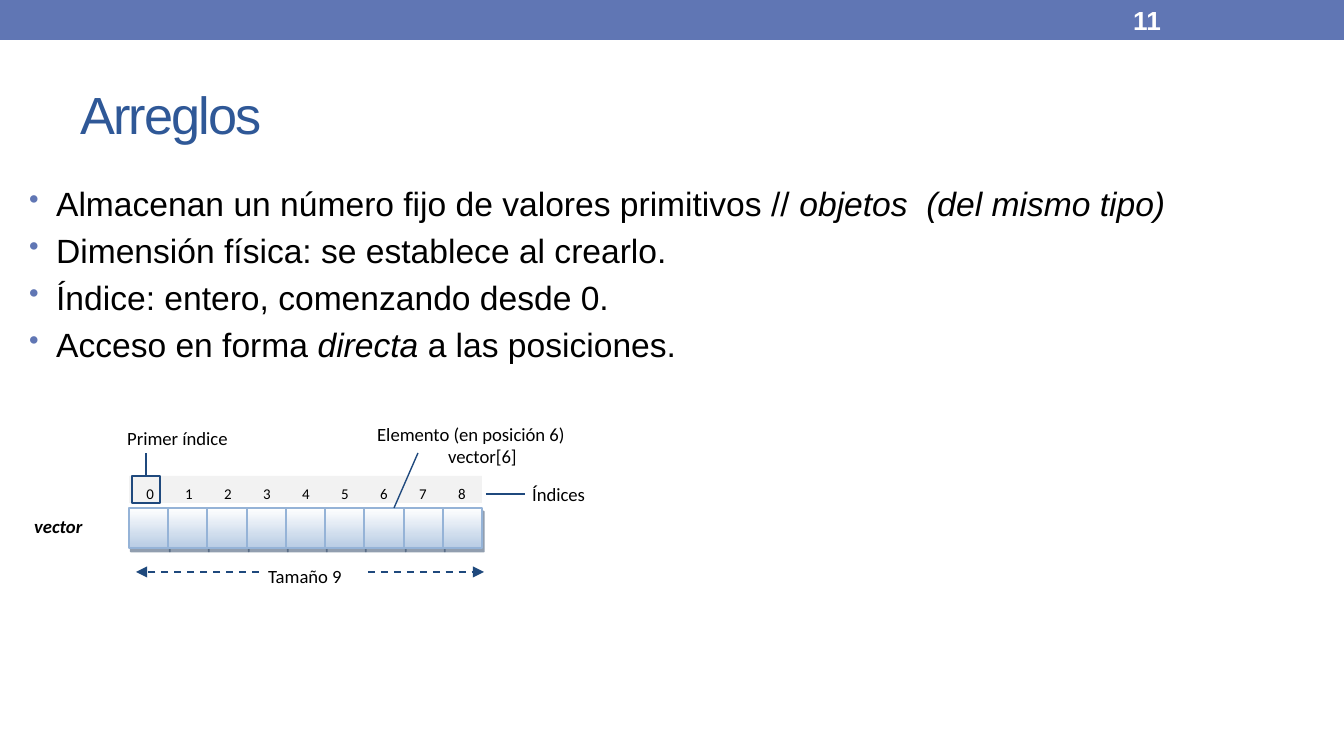
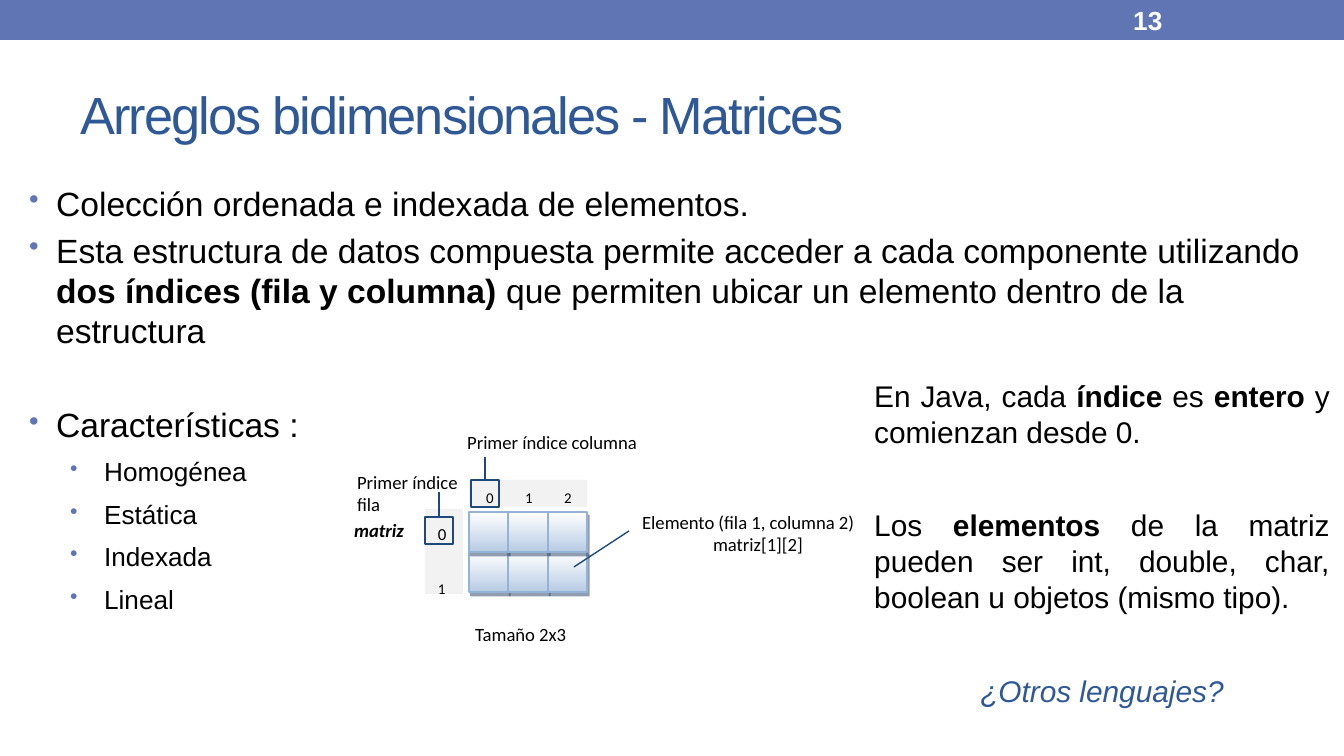
"""Builds two slides on arrays and matrices, with index diagrams."""
import pptx
import pptx.dml.color
import pptx.enum.dml
import pptx.enum.shapes
import pptx.enum.text
import pptx.oxml
import pptx.oxml.ns
import pptx.util

COLORS = {"band": "6076B4", "title": "2F5897", "text": "000000", "white": "FFFFFF",
          "strip": "F2F2F2", "ink": "1F497D", "cell": "B8CCE4", "edge": "95B3D7",
          "shade": "243F60"}
FONTS = {
    "title": {"name": "Arial", "size": 28, "color": "title"},
    "number": {"name": "Arial", "size": 14, "color": "white", "bold": True},
    "body": {"name": "Arial", "size": 18, "color": "text"},
    "side": {"name": "Arial", "size": 16, "color": "text"},
    "label": {"name": "Calibri", "size": 10, "color": "text"},
    "index": {"name": "Calibri", "size": 8, "color": "text"},
}
BOLD, ITALIC = {"bold": True}, {"italic": True}
ALIGN = pptx.enum.text.PP_ALIGN
LAYOUTS = {
    "plain": {},
    "second_line": {"margin": 71},
    "point": {"margin": 27, "hang": -27, "before": 3.6},
    "section": {"margin": 27, "hang": -27, "before": 28.7, "align": ALIGN.JUSTIFY},
    "trait": {"margin": 75, "hang": -34, "before": 6, "align": ALIGN.JUSTIFY},
    "note": {"align": ALIGN.JUSTIFY},
    "next_note": {"before": 31, "align": ALIGN.JUSTIFY},
    "question": {"before": 31, "align": ALIGN.CENTER},
    "next_row": {"before": 19},
}
BODY_BOX = (16, 176, 1328, 538)
CELL_HEIGHT = 40
INDEX_PITCH = 39

SLIDES = [
    {
        "number": "11",
        "title": "Arreglos",
        "texts": [
            (BODY_BOX, "body", [
                ("point", ["Almacenan un número fijo de valores primitivos // ",
                           ("objetos  (del mismo tipo)", ITALIC)]),
                ("point", ["Dimensión física: se establece al crearlo."]),
                ("point", ["Índice: entero, comenzando desde 0."]),
                ("point", ["Acceso en forma ", ("directa ", ITALIC), "a las posiciones."]),
            ]),
        ],
        "grid": {"at": (129, 508), "rows": 1, "columns": 9, "width": 353},
        "index_strip": (129, 476, 353, 27),
        "first_indexes": [(132, 476, 453)],
        "pointers": [((486, 494), (525, 494)), ((394, 508), (418, 453))],
        "extents": [((259, 572), (136, 572)), ((368, 572), (484, 572))],
        "labels": [
            ((519, 476, 138, 43), "label", [("plain", ["Índices"])]),
            ((255, 558, 140, 43), "label", [("plain", ["Tamaño 9"])]),
            ((114, 420, 181, 34), "label", [("plain", ["Primer índice"])]),
            ((364, 416, 349, 59), "label", [("plain", ["Elemento (en posición 6)"]),
                                            ("second_line", ["vector[6]"])]),
            ((21, 508, 83, 34), "label", [("plain", [("vector", BOLD | ITALIC)])]),
        ],
    },
    {
        "number": "13",
        "title": "Arreglos bidimensionales - Matrices",
        "texts": [
            (BODY_BOX, "body", [
                ("point", ["Colección ordenada e indexada de elementos."]),
                ("point", ["Esta estructura de datos compuesta permite acceder a cada "
                           "componente utilizando ",
                           ("dos índices (fila y columna) ", BOLD),
                           "que permiten ubicar un elemento dentro de la estructura"]),
                ("section", ["Características :"]),
                *(("trait", [(trait, {"size": 14})])
                  for trait in ("Homogénea", "Estática", "Indexada", "Lineal")),
            ]),
            ((861, 371, 482, 358), "side", [
                ("note", ["En Java, cada ", ("índice", BOLD), " es ", ("entero ", BOLD),
                          "y comienzan desde 0."]),
                ("next_note", ["Los ", ("elementos", BOLD),
                               " de la matriz pueden ser int, double, char, boolean u "
                               "objetos (mismo tipo)."]),
                ("question", [("¿Otros lenguajes?", ITALIC | {"color": "title"})]),
            ]),
        ],
        "grid": {"at": (469, 512), "rows": 2, "columns": 3, "width": 118},
        "index_strip": (469, 480, 118, 27),
        "row_strip": (425, 509, 38, 85),
        "first_indexes": [(471, 480, 457), (425, 517, 492)],
        "pointers": [((574, 567), (629, 531))],
        "extents": [],
        "labels": [
            ((462, 616, 140, 43), "label", [("plain", ["Tamaño 2x3"])]),
            ((454, 424, 227, 34), "label", [("plain", ["Primer índice columna"])]),
            ((629, 504, 349, 59), "label", [("plain", ["Elemento (fila 1, columna 2)"]),
                                            ("second_line", ["matriz[1][2]"])]),
            ((341, 512, 83, 34), "label", [("plain", [("matriz", BOLD | ITALIC)])]),
            ((344, 464, 227, 48), "label", [("plain", ["Primer índice"]), ("plain", ["fila"])]),
        ],
    },
]


def px(length):
    return pptx.util.Emu(round(length * 914400 / 134.4))


def rgb(name):
    return pptx.dml.color.RGBColor.from_string(COLORS[name])


def add_xml(parent, markup):
    """Append a DrawingML element to a parent."""
    head, rest = markup.split(" ", 1)
    namespace = pptx.oxml.ns.nsdecls("a")
    parent.append(pptx.oxml.parse_xml(f"{head} {namespace} {rest}"))


def format_paragraph(paragraph, layout):
    paragraph.alignment = layout.get("align", ALIGN.LEFT)
    if "before" in layout:
        paragraph.space_before = pptx.util.Pt(layout["before"])
    properties = paragraph._p.get_or_add_pPr()
    properties.set("marL", str(px(layout.get("margin", 0))))
    properties.set("indent", str(px(layout.get("hang", 0))))
    if "hang" in layout:
        add_xml(properties, f'<a:buClr ><a:srgbClr val="{COLORS["band"]}"/></a:buClr>')
        add_xml(properties, '<a:buSzPct val="85000"/>')
        add_xml(properties, '<a:buChar char="•"/>')


def write(frame, font_name, paragraphs):
    """Fill a text frame with (layout, runs) paragraphs."""
    frame.word_wrap = True
    for number, (layout, runs) in enumerate(paragraphs):
        paragraph = frame.add_paragraph() if number else frame.paragraphs[0]
        format_paragraph(paragraph, LAYOUTS[layout])
        for part in runs:
            words, changes = (part, {}) if isinstance(part, str) else part
            run = paragraph.add_run()
            run.text = words
            values = FONTS[font_name] | changes
            run.font.color.rgb = rgb(values["color"])
            run.font.size = pptx.util.Pt(values["size"])
            for key in ("name", "bold", "italic"):
                setattr(run.font, key, values.get(key))


def add_text(slide, box, font_name, paragraphs, middle=False):
    frame = slide.shapes.add_textbox(*map(px, box)).text_frame
    if middle:
        frame.vertical_anchor = pptx.enum.text.MSO_ANCHOR.MIDDLE
    write(frame, font_name, paragraphs)
    return frame


def add_box(slide, box, fill=None, line=None, width=0.75):
    shape = slide.shapes.add_shape(pptx.enum.shapes.MSO_SHAPE.RECTANGLE, *map(px, box))
    shape.shadow.inherit = False
    if fill:
        shape.fill.solid()
        shape.fill.fore_color.rgb = rgb(fill)
    else:
        shape.fill.background()
    if line:
        shape.line.color.rgb = rgb(line)
        shape.line.width = pptx.util.Pt(width)
    else:
        shape.line.fill.background()
    return shape


def add_line(slide, start, end, arrow=False):
    line = slide.shapes.add_connector(pptx.enum.shapes.MSO_CONNECTOR.STRAIGHT,
                                      *map(px, start + end))
    line.line.color.rgb = rgb("ink")
    line.line.width = pptx.util.Pt(1 if arrow else 0.75)
    if arrow:
        line.line.dash_style = pptx.enum.dml.MSO_LINE.DASH
        add_xml(line.line._get_or_add_ln(), '<a:tailEnd type="triangle"/>')
    add_xml(line._element.spPr, "<a:effectLst />")
    return line


def add_cell(slide, box):
    cell = add_box(slide, box, line="edge", width=1)
    cell.fill.gradient()
    cell.fill.gradient_angle = 270
    for stop, color in zip(cell.fill.gradient_stops, ("white", "cell")):
        stop.color.rgb = rgb(color)
    effects = cell._element.spPr.find(pptx.oxml.ns.qn("a:effectLst"))
    add_xml(effects, '<a:outerShdw blurRad="0" dist="28000" dir="3780000" algn="ctr" '
                     f'rotWithShape="0"><a:srgbClr val="{COLORS["shade"]}">'
                     '<a:alpha val="50000"/></a:srgbClr></a:outerShdw>')


def add_grid(slide, at, rows, columns, width):
    left, top = at
    edges = [left + round(width * column / columns) for column in range(columns + 1)]
    for row in reversed(range(rows)):
        for start, end in zip(edges, edges[1:]):
            add_cell(slide, (start, top + row * CELL_HEIGHT, end - start, CELL_HEIGHT))


def add_column_indexes(slide, strip, columns):
    add_box(slide, strip, fill="strip")
    left, top, _, height = strip
    for column in range(columns):
        add_text(slide, (left + 4 + INDEX_PITCH * column, top + 2, INDEX_PITCH, height),
                 "index", [("plain", [str(column)])])


def add_row_indexes(slide, strip):
    frame = add_box(slide, strip, fill="strip").text_frame
    frame.vertical_anchor = pptx.enum.text.MSO_ANCHOR.TOP
    for side, length in {"left": 13, "top": 15, "right": 0, "bottom": 0}.items():
        setattr(frame, f"margin_{side}", px(length))
    write(frame, "index", [("plain", [("0", {"size": 9})]), ("next_row", ["1"])])


def add_first_index(slide, left, top, line_end):
    frame = add_box(slide, (left, top, 28, 27), line="ink")
    pointer = add_line(slide, (left + 14, top), (left + 14, line_end))
    pointer.begin_connect(frame, 0)


def add_slide(deck, content):
    slide = deck.slides.add_slide(deck.slide_layouts[6])
    add_box(slide, (0, 0, 1344, 40), fill="band")
    title = add_text(slide, (67, 59, 1210, 109), "title",
                     [("plain", [content["title"]])], middle=True)
    title.paragraphs[0].runs[0]._r.get_or_add_rPr().set("spc", "-100")
    add_text(slide, (1120, 2, 157, 36), "number",
             [("plain", [content["number"]])], middle=True)
    for text in content["texts"]:
        add_text(slide, *text)

    add_column_indexes(slide, content["index_strip"], content["grid"]["columns"])
    if "row_strip" in content:
        add_row_indexes(slide, content["row_strip"])
    add_grid(slide, **content["grid"])
    for first_index in content["first_indexes"]:
        add_first_index(slide, *first_index)
    for start, end in content["pointers"]:
        add_line(slide, start, end)
    for start, end in content["extents"]:
        add_line(slide, start, end, arrow=True)
    for label in content["labels"]:
        add_text(slide, *label)


def main():
    deck = pptx.Presentation()
    deck.slide_width, deck.slide_height = px(1344), px(756)
    for content in SLIDES:
        add_slide(deck, content)
    deck.save("out.pptx")


if __name__ == "__main__":
    main()
